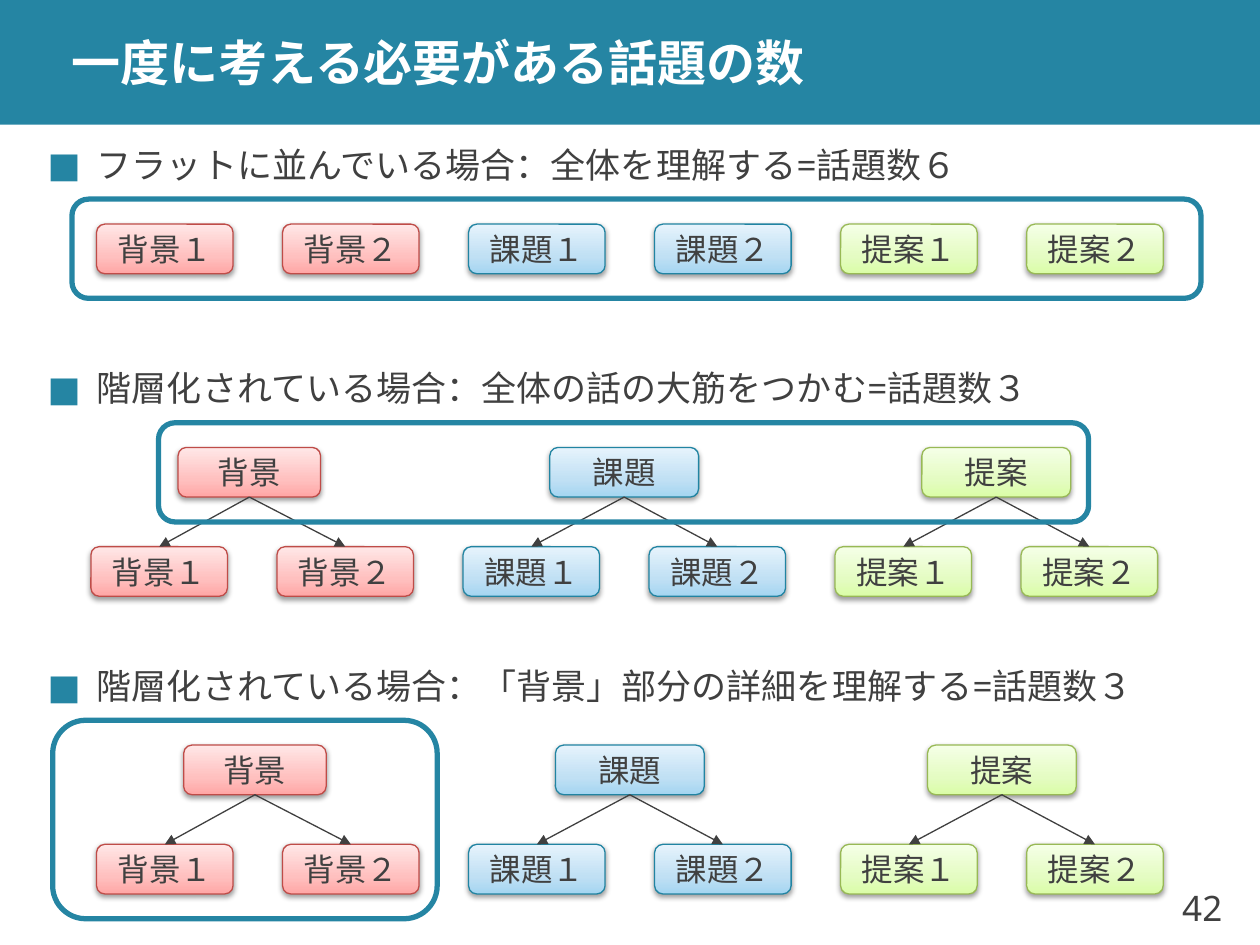
from dataclasses import dataclass

from lxml.etree import SubElement
from pptx import Presentation
from pptx.dml.color import RGBColor
from pptx.enum.shapes import MSO_CONNECTOR as Connector, MSO_SHAPE as Preset
from pptx.enum.text import MSO_ANCHOR as Anchor, PP_ALIGN as Align
from pptx.oxml.ns import qn
from pptx.util import Pt

COLORS = {"teal": "2585A3", "text": "404040", "white": "FFFFFF", "shadow": "000000"}
LATIN, JAPANESE = "Noto Sans", "Noto Sans CJK JP"
PITCH = 106.3
TOPIC_WIDTH, TOPIC_HEIGHT, LEVEL_GAP = 78, 28.35, 56.7
SLIDE_WIDTH, BAND_HEIGHT = 720, 71.3
BOTTOM_SITE, TOP_SITE = 2, 0


@dataclass(frozen=True)
class Theme:
    """A subject with its parent box and its colours."""
    name: str
    parent_left: float
    parent_width: float
    line: str
    stops: tuple[tuple[int, str], ...]


@dataclass(frozen=True)
class Section:
    """A bulleted heading, its row of boxes and its highlighting frame."""
    heading: str
    heading_top: float
    left: float
    top: float
    layered: bool
    frame: tuple[float, float, float, float]


THEMES = (
    Theme("背景", 49.8, 81.4, "BF4C48", ((0, "FFA6A5"), (35, "FFC0BF"), (100, "FFE7E7"))),
    Theme("課題", 262.2, 85, "2184A2", ((0, "A4D5F1"), (35, "C0E0F4"), (100, "E6F3FC"))),
    Theme("提案", 474.8, 85, "98B955", ((0, "DAFDA7"), (35, "E4FCC2"), (100, "F5FFE7"))),
)
SECTIONS = (
    Section("フラットに並んでいる場合：全体を理解する=話題数６", 71.3,
            55.2, 128.1, False, (41.1, 113.8, 645.2, 56.7)),
    Section("階層化されている場合：全体の話の大筋をつかむ=話題数３", 199.2,
            52, 255.7, True, (90.6, 241.6, 531.5, 56.7)),
    Section("階層化されている場合：「背景」部分の詳細を理解する=話題数３", 369.2,
            55.2, 425.8, True, (30.1, 411.6, 219.7, 113.4)),
)


def rgb(value: str) -> RGBColor:
    """Turn a hex string into a colour."""
    return RGBColor.from_string(value)


def add_node(parent, tag: str, **attributes):
    """Append a DrawingML element and return it."""
    return SubElement(parent, qn(f"a:{tag}"), attributes)


def write(shape, text: str, size: float, font: str = LATIN,
          color: str = COLORS["text"], bold: bool = False,
          align: Align = Align.LEFT, wrap: bool = True):
    """Write one formatted paragraph into a shape and return it."""
    frame = shape.text_frame
    frame.text = text
    frame.word_wrap = wrap
    frame.vertical_anchor = Anchor.MIDDLE
    para = frame.paragraphs[0]
    para.alignment = align
    for span in para.runs:
        span.font.size = Pt(size)
        span.font.bold = bold
        span.font.name = font
        span.font.color.rgb = rgb(color)
        add_node(span.font._element, "ea", typeface=JAPANESE)
    return para


def add_text(page, left: float, top: float, width: float, height: float):
    """Add an empty text box."""
    return page.shapes.add_textbox(Pt(left), Pt(top), Pt(width), Pt(height))


def add_box(page, preset: Preset, left: float, top: float, width: float, height: float):
    """Add a preset shape without a shadow."""
    box = page.shapes.add_shape(preset, Pt(left), Pt(top), Pt(width), Pt(height))
    box.shadow.inherit = False
    return box


def add_topic(page, theme: Theme, text: str, left: float, top: float, width: float):
    """Draw one shaded topic box with its label."""
    box = add_box(page, Preset.ROUNDED_RECTANGLE, left, top, width, TOPIC_HEIGHT)
    box.line.color.rgb = rgb(theme.line)
    box.line.width = Pt(0.75)
    box.fill.gradient()
    box.fill.gradient_angle = 90
    properties = box._element.spPr
    stop_list = properties.find(f".//{qn('a:gsLst')}")
    for old_stop in list(stop_list):
        stop_list.remove(old_stop)
    for percent, color in theme.stops:
        stop = add_node(stop_list, "gs", pos=str(percent * 1000))
        add_node(stop, "srgbClr", val=color)
    shadow = add_node(properties.find(qn("a:effectLst")), "outerShdw",
                      blurRad=str(Pt(3.1)), dist=str(Pt(1.6)), dir="5400000", rotWithShape="0")
    shade = add_node(shadow, "srgbClr", val=COLORS["shadow"])
    add_node(shade, "alpha", val="38000")
    write(box, text, 18, JAPANESE, align=Align.CENTER, wrap=False)
    return box


def add_arrow(page, parent, child) -> None:
    """Connect a parent box to one of its children."""
    arrow = page.shapes.add_connector(Connector.STRAIGHT, 0, 0, 0, 0)
    arrow.begin_connect(parent, BOTTOM_SITE)
    arrow.end_connect(child, TOP_SITE)
    arrow.line.color.rgb = rgb(COLORS["text"])
    arrow.line.width = Pt(0.75)
    add_node(arrow.line._get_or_add_ln(), "tailEnd", type="triangle")
    add_node(arrow._element.spPr, "effectLst")


def add_heading(page, text: str, top: float) -> None:
    """Write a section heading with a square bullet."""
    para = write(add_text(page, 20.2, top, 652.3, 42.5), text, 20)
    para.line_spacing = 1.1
    para.space_before, para.space_after = Pt(24), Pt(6)
    properties = para._p.get_or_add_pPr()
    properties.set("marL", str(Pt(28.1)))
    properties.set("indent", str(-Pt(28.1)))
    add_node(add_node(properties, "buClr"), "srgbClr", val=COLORS["teal"])
    add_node(properties, "buFont", typeface=LATIN)
    add_node(properties, "buChar", char="■")


def add_section(page, section: Section) -> None:
    """Draw the heading, topics, arrows and frame of one section."""
    add_heading(page, section.heading, section.heading_top)
    child_top = section.top + (LEVEL_GAP if section.layered else 0)
    for index, theme in enumerate(THEMES):
        children = [
            add_topic(page, theme, theme.name + digit,
                      section.left + (2 * index + offset) * PITCH, child_top, TOPIC_WIDTH)
            for offset, digit in enumerate("１２")
        ]
        if section.layered:
            parent = add_topic(page, theme, theme.name, section.left + theme.parent_left,
                               section.top, theme.parent_width)
            for child in children:
                add_arrow(page, parent, child)
    frame = add_box(page, Preset.ROUNDED_RECTANGLE, *section.frame)
    frame.fill.background()
    frame.line.color.rgb = rgb(COLORS["teal"])
    frame.line.width = Pt(3)


def add_title(page, text: str) -> None:
    """Draw the title band and its text."""
    band = add_box(page, Preset.RECTANGLE, 0, 0, SLIDE_WIDTH, BAND_HEIGHT)
    band.fill.solid()
    band.fill.fore_color.rgb = rgb(COLORS["teal"])
    band.line.fill.background()
    title = add_text(page, 34, 0, SLIDE_WIDTH - 34, BAND_HEIGHT)
    title.text_frame.margin_top = title.text_frame.margin_bottom = 0
    write(title, text, 28, color=COLORS["white"], bold=True)


def main() -> None:
    """Build the deck and save it."""
    deck = Presentation()
    deck.slide_width, deck.slide_height = Pt(SLIDE_WIDTH), Pt(540)
    page = deck.slides.add_slide(deck.slide_layouts[6])
    add_title(page, "一度に考える必要がある話題の数")
    for section in SECTIONS:
        add_section(page, section)
    write(add_text(page, 657.4, 496.8, 48.2, 43.2), "42", 20, align=Align.RIGHT, wrap=False)
    deck.save("out.pptx")


main()
